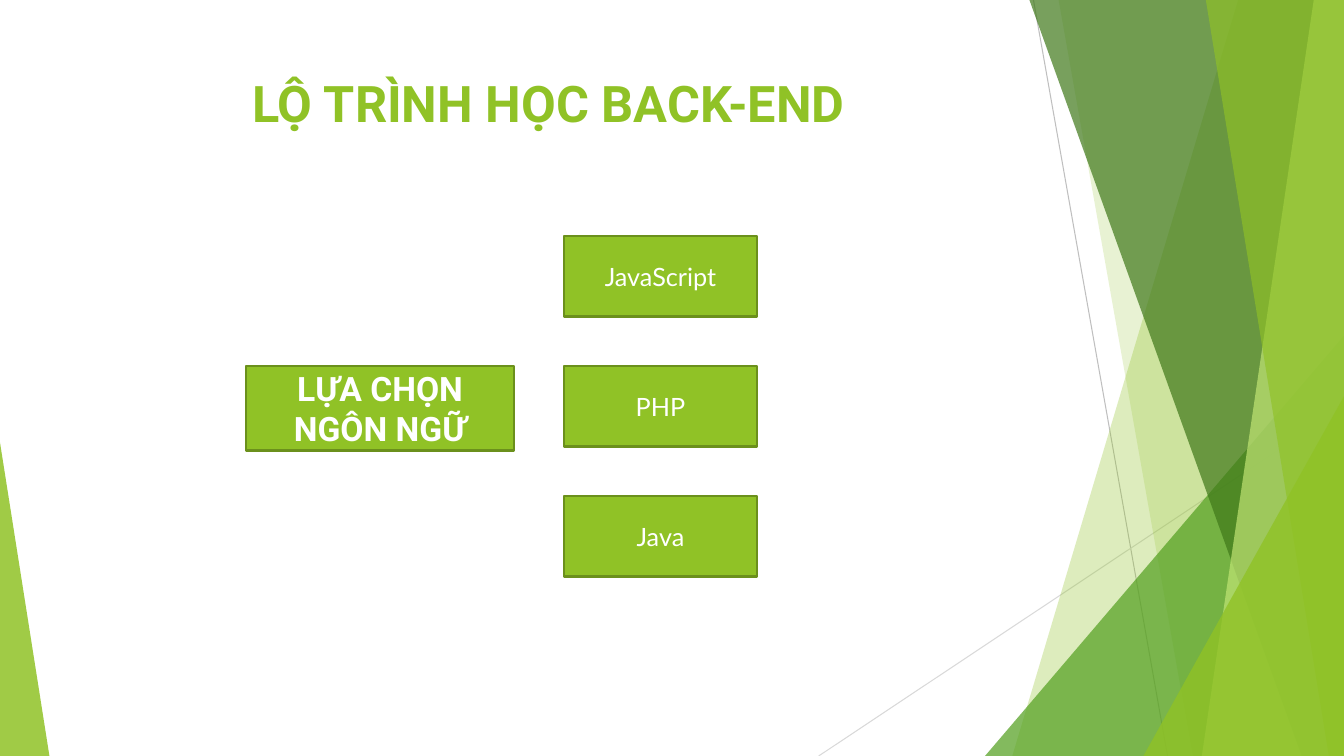
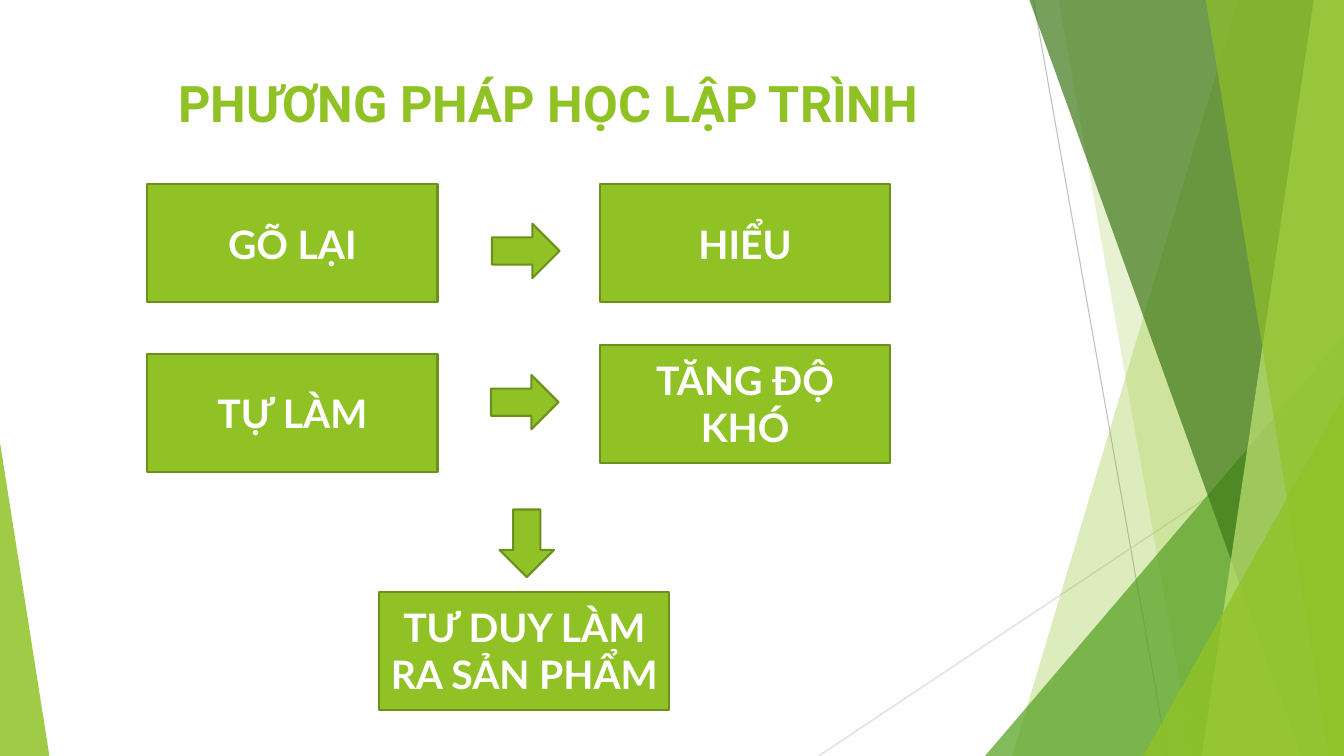
from collections import namedtuple

from lxml import etree
from pptx import Presentation
from pptx.dml.color import RGBColor
from pptx.enum.shapes import MSO_CONNECTOR, MSO_SHAPE
from pptx.enum.text import MSO_ANCHOR, PP_ALIGN
from pptx.oxml.ns import qn
from pptx.util import Inches, Pt

RECTANGLE = MSO_SHAPE.RECTANGLE
TRIANGLE = MSO_SHAPE.ISOSCELES_TRIANGLE
RIGHT_ARROW = MSO_SHAPE.RIGHT_ARROW
STRAIGHT = MSO_CONNECTOR.STRAIGHT
CENTER = PP_ALIGN.CENTER
TOP, MIDDLE = MSO_ANCHOR.TOP, MSO_ANCHOR.MIDDLE

Box = namedtuple("Box", "left top width height")

WIDTH, HEIGHT = 13.33, 7.5
BLANK_LAYOUT = 6
TITLE_FONT, BODY_FONT = "Roboto", "Lato"
COLORS = {
    "green": "90C226",
    "outline": "6B901C",
    "leaf": "54A021",
    "forest": "3F7819",
    "lime": "C0E474",
    "white": "FFFFFF",
    "gray": "BFBFBF",
    "pale_gray": "D9D9D9",
}
TITLE_BOX = Box(0.74, 0.67, 9.4, 1.44)
ROADMAP_BOX = Box(2.44, 2.34, 5.07, 3.38)
METHOD_BOX = Box(1.46, 1.83, 7.37, 5.21)

RAYS = [
    ((10.25, 0), (11.58, HEIGHT), "gray"),
    ((WIDTH, 4.03), (8.12, HEIGHT), "pale_gray"),
]
BANDS = [
    ("band", (12.28, 10.04), "green", 30),
    ("band", (10.5, 11.83), "green", 20),
    ("triangle", (Box(9.77, 3.33, 3.56, 4.17), 1), "leaf", 72),
    ("band", (10.21, 12.91), "forest", 70),
    ("band", (13.03, 11.92), "lime", 70),
    ("band", (11.96, 13.18), "green", 65),
    ("triangle", (Box(11.34, 3.93, 1.99, 3.57), 1), "green", 80),
    ("triangle", (Box(0, 4.39, 0.49, 3.11), 0), "green", 85),
]


def color(name):
    """Return the named palette colour."""
    return RGBColor.from_string(COLORS[name])


def inches(values):
    """Convert a sequence of inches to lengths."""
    return [Inches(value) for value in values]


def set_text(shape, text, *, size, font=BODY_FONT, bold=False,
             tint="white", anchor=MIDDLE):
    """Write centred text into a shape."""
    frame = shape.text_frame
    frame.word_wrap = True
    frame.vertical_anchor = anchor
    paragraph = frame.paragraphs[0]
    paragraph.alignment = CENTER
    run = paragraph.add_run()
    run.text = text
    run.font.size = Pt(size)
    run.font.name = font
    run.font.bold = bold
    run.font.color.rgb = color(tint)


def add_block(slide, box, kind=RECTANGLE):
    """Add an outlined green shape."""
    shape = slide.shapes.add_shape(kind, *inches(box))
    shape.shadow.inherit = False
    shape.fill.solid()
    shape.fill.fore_color.rgb = color("green")
    shape.line.color.rgb = color("outline")
    shape.line.width = Pt(1.5)
    return shape


def add_ray(slide, start, end, tint):
    """Add a thin decorative line."""
    line = slide.shapes.add_connector(STRAIGHT, *inches(start + end))
    line.line.color.rgb = color(tint)
    line.line.width = Pt(0.75)
    properties = line._element.spPr
    etree.SubElement(properties, qn("a:effectLst"))


def add_band(slide, top_x, bottom_x):
    """Add a full-height band reaching the right edge of the slide."""
    builder = slide.shapes.build_freeform(*inches((top_x, 0)), scale=1.0)
    corners = [(WIDTH, 0), (WIDTH, HEIGHT), (bottom_x, HEIGHT)]
    builder.add_line_segments([inches(corner) for corner in corners], close=True)
    return builder.convert_to_shape()


def add_triangle(slide, box, apex):
    """Add a triangle whose apex sits at a share of its width."""
    shape = slide.shapes.add_shape(TRIANGLE, *inches(box))
    shape.adjustments[0] = apex
    return shape


def fill_translucent(shape, tint, opacity):
    """Fill a shape with a colour at an opacity in percent."""
    shape.shadow.inherit = False
    shape.line.fill.background()
    shape.fill.solid()
    shape.fill.fore_color.rgb = color(tint)
    swatch = shape._element.spPr.find(qn("a:solidFill"))[0]
    etree.SubElement(swatch, qn("a:alpha"), val=str(opacity * 1000))


def add_background(slide):
    """Draw the facets shared by all slides."""
    for ray in RAYS:
        add_ray(slide, *ray)
    builders = {"band": add_band, "triangle": add_triangle}
    for kind, geometry, tint, opacity in BANDS:
        fill_translucent(builders[kind](slide, *geometry), tint, opacity)


def add_slide(presentation, title):
    """Add a slide with the shared background and title."""
    slide = presentation.slides.add_slide(presentation.slide_layouts[BLANK_LAYOUT])
    add_background(slide)
    title_shape = slide.shapes.add_textbox(*inches(TITLE_BOX))
    set_text(title_shape, title, size=36, font=TITLE_FONT, bold=True,
             tint="green", anchor=TOP)
    return slide


def add_roadmap(slide, box):
    """Place the choice beside its column of languages."""
    languages = ["JavaScript", "PHP", "Java"]
    width, height = 1.92, 0.8
    pitch = (box.height - height) / (len(languages) - 1)
    choice = add_block(slide, Box(box.left, box.top + pitch, 2.66, 0.84))
    set_text(choice, "LỰA CHỌN NGÔN NGỮ", size=24, font=TITLE_FONT, bold=True)
    left = box.left + box.width - width
    for row, language in enumerate(languages):
        block = add_block(slide, Box(left, box.top + row * pitch, width, height))
        set_text(block, language, size=18)


def add_method(slide, box):
    """Place the learning steps and the arrows that join them."""
    width, height = 2.88, 1.17
    right = box.width - width
    steps = [
        ("GÕ LẠI", 0, 0),
        ("HIỂU", right, 0),
        ("TỰ LÀM", 0, 1.68),
        ("TĂNG ĐỘ KHÓ", right, 1.59),
        ("TƯ DUY LÀM RA SẢN PHẨM", 2.3, box.height - height),
    ]
    for text, across, down in steps:
        block = add_block(slide, Box(box.left + across, box.top + down, width, height))
        set_text(block, text, size=28, bold=True)
    for across, down, rotation in [(3.42, 0.39, 0), (3.41, 1.89, 0), (3.43, 3.29, 90)]:
        arrow_box = Box(box.left + across, box.top + down, 0.67, 0.54)
        add_block(slide, arrow_box, RIGHT_ARROW).rotation = rotation


def main():
    """Build and save the presentation."""
    presentation = Presentation()
    presentation.slide_width, presentation.slide_height = inches((WIDTH, HEIGHT))
    add_roadmap(add_slide(presentation, "LỘ TRÌNH HỌC BACK-END"), ROADMAP_BOX)
    add_method(add_slide(presentation, "PHƯƠNG PHÁP HỌC LẬP TRÌNH"), METHOD_BOX)
    presentation.save("out.pptx")


if __name__ == "__main__":
    main()
